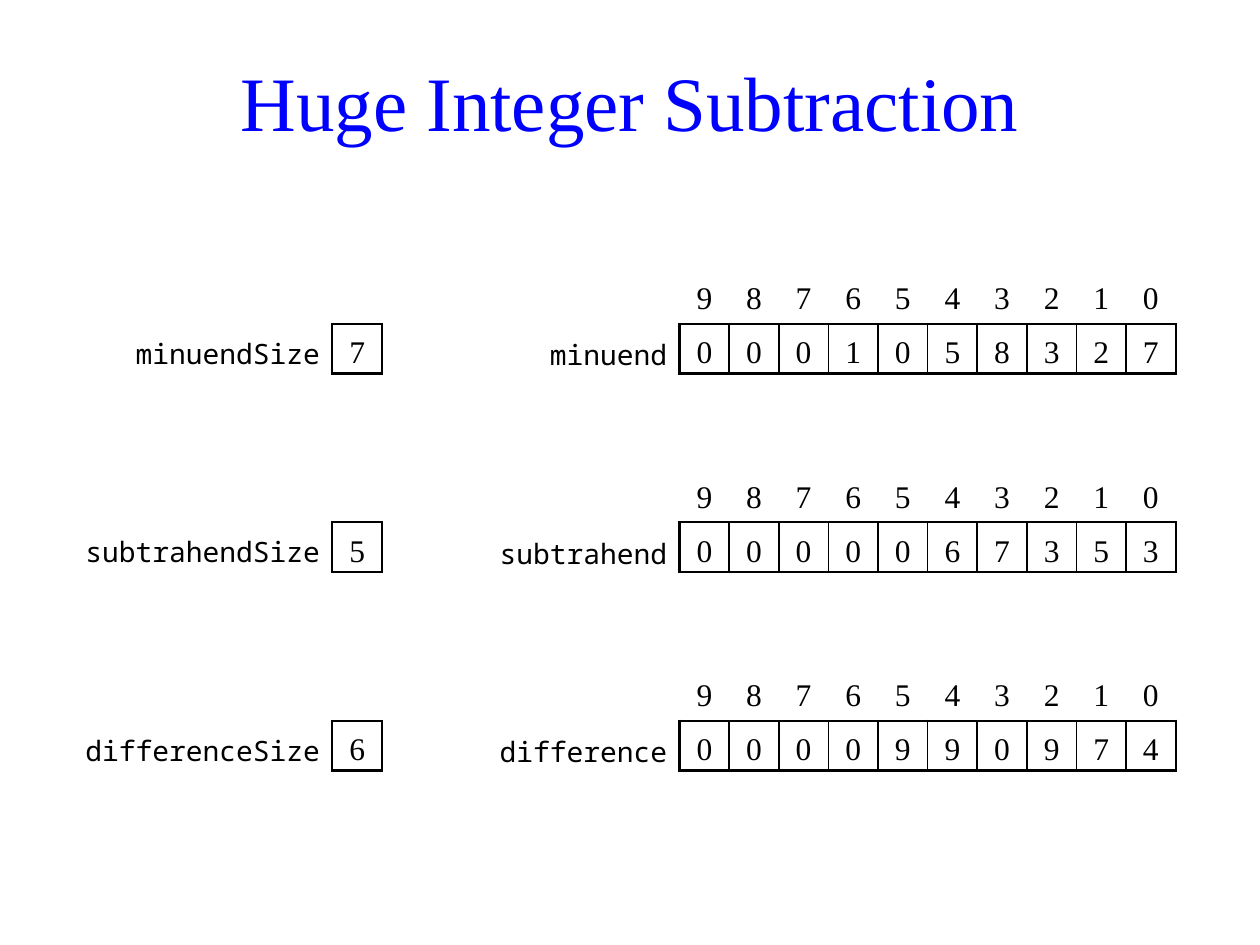
from lxml.etree import SubElement
from pptx import Presentation
from pptx.dml.color import RGBColor
from pptx.enum.text import MSO_ANCHOR, PP_ALIGN
from pptx.oxml.ns import qn
from pptx.util import Cm, Pt

SERIF, MONO = "Times New Roman", "Noto Sans Mono"
NO_STYLE = "{2D5ABB26-0587-4C30-8999-92F81FD0307C}"


def write(tf, text, font=SERIF, size=18, color="000000", align=PP_ALIGN.CENTER, spacing=None):
    p = tf.paragraphs[0]
    p.alignment = align
    p.line_spacing = spacing
    r = p.add_run()
    r.text = text
    r.font.name = font
    r.font.size = Pt(size)
    r.font.color.rgb = RGBColor.from_string(color)


def set_borders(cell, color="000000", **widths):
    """Draw the sides named L, R, T, B, in that order, with widths in points."""
    tcPr = cell._tc.get_or_add_tcPr()
    for side, width in widths.items():
        ln = SubElement(tcPr, qn(f"a:ln{side}"), w=str(Pt(width)))
        SubElement(SubElement(ln, qn("a:solidFill")), qn("a:srgbClr"), val=color)


prs = Presentation()
prs.slide_width, prs.slide_height = Cm(25.4), Cm(19.05)
s = prs.slides.add_slide(prs.slide_layouts[6])

title = s.shapes.add_textbox(Cm(1.2), Cm(0.53), Cm(23), Cm(3))
title.text_frame.word_wrap = True
title.text_frame.vertical_anchor = MSO_ANCHOR.MIDDLE
write(title.text_frame, "Huge Integer Subtraction", size=44, color="0000FF")

# name, digits, number of significant digits, label widths of array and size in cm
numbers = [
    ("minuend", "0001058327", "7", 3, 4.5),
    ("subtrahend", "0000067353", "5", 4, 5.5),
    ("difference", "0000990974", "6", 4, 5.5),
]
top, pitch, side = 5.53, 4, 1
array_right, size_right = 23.7, 7.7

for i, (name, digits, size, array_label, size_label) in enumerate(numbers):
    y = top + i * pitch
    tables = [
        ([["", *"9876543210"], [name, *digits]], array_right, y, array_label, 0.05),
        ([[name + "Size", size]], size_right, y + side, size_label, 0),
    ]
    for rows, right, table_top, label_width, label_pad in tables:
        last_row, last_col = len(rows) - 1, len(rows[0]) - 1
        width = label_width + last_col * side
        tbl = s.shapes.add_table(len(rows), last_col + 1, Cm(right - width), Cm(table_top),
                                 Cm(width), Cm(len(rows) * side)).table
        tbl.first_row = tbl.horz_banding = False
        tbl._tbl.tblPr.find(qn("a:tableStyleId")).text = NO_STYLE
        for c, col in enumerate(tbl.columns):
            col.width = Cm(side if c else label_width)
        for r, row in enumerate(rows):
            for c, text in enumerate(row):
                cell = tbl.cell(r, c)
                cell.vertical_anchor = MSO_ANCHOR.MIDDLE
                cell.margin_left = cell.margin_right = 0
                cell.margin_top = cell.margin_bottom = 0
                if r == last_row and c:
                    set_borders(cell, L=1.5 if c == 1 else 1,
                                R=1.5 if c == last_col else 1, T=1.5, B=1.5)
                cell.fill.background()
                if r < last_row:
                    if text:
                        write(cell.text_frame, text)
                elif c:
                    write(cell.text_frame, text, spacing=1.25)
                else:
                    cell.margin_right = Cm(0.25)
                    cell.margin_top = cell.margin_bottom = Cm(label_pad)
                    write(cell.text_frame, text, font=MONO, size=16,
                          align=PP_ALIGN.RIGHT, spacing=1.25)

prs.save("out.pptx")
